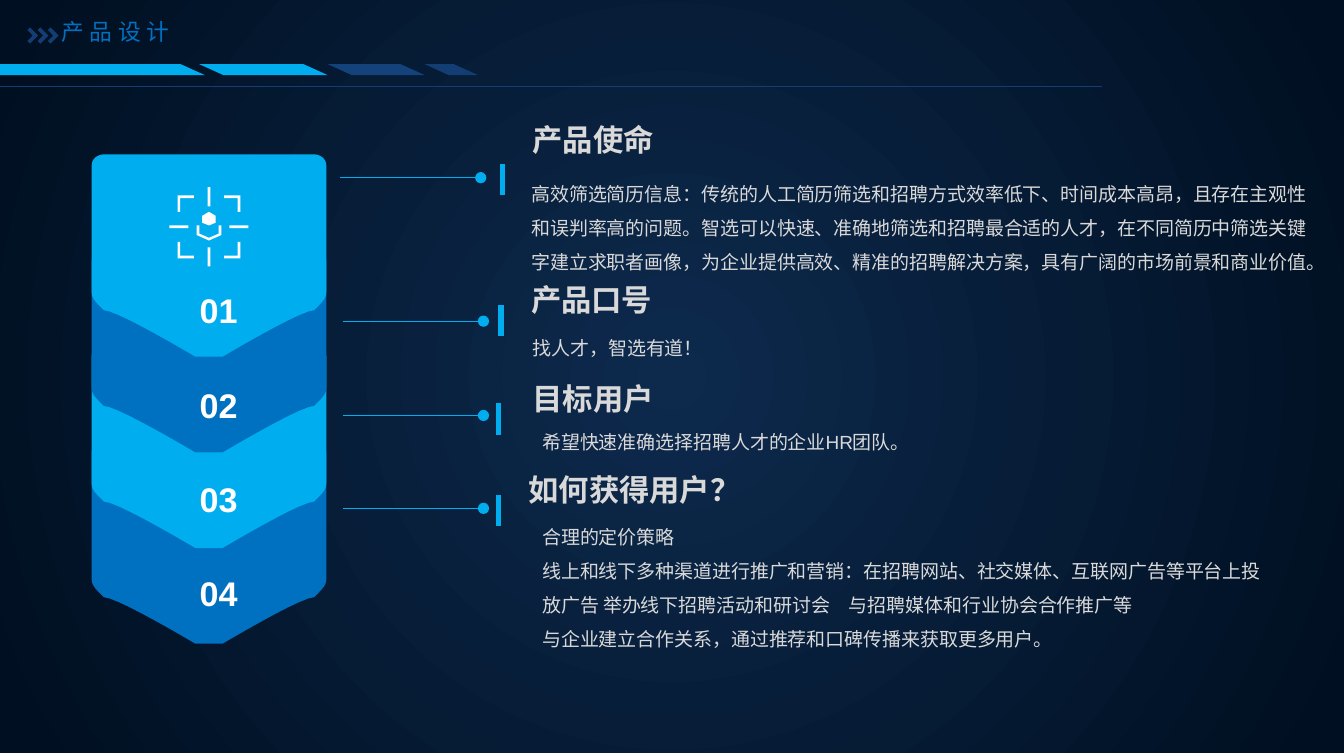
from lxml import etree
from pptx import Presentation
from pptx.dml.color import RGBColor
from pptx.enum.shapes import MSO_CONNECTOR, MSO_SHAPE
from pptx.enum.text import MSO_ANCHOR, PP_ALIGN
from pptx.oxml.ns import qn
from pptx.util import Inches, Pt

STRAIGHT = MSO_CONNECTOR.STRAIGHT
RECT, PARALLELOGRAM = MSO_SHAPE.RECTANGLE, MSO_SHAPE.PARALLELOGRAM
TOP = MSO_ANCHOR.TOP
LEFT, CENTER = PP_ALIGN.LEFT, PP_ALIGN.CENTER

SKY = RGBColor(0x00, 0xAE, 0xEF)
BLUE = RGBColor(0x00, 0x70, 0xC0)
STEEL = RGBColor(0x14, 0x42, 0x7A)
NAVY = RGBColor(0x13, 0x3E, 0x73)
BG_CENTER = RGBColor(0x0D, 0x2A, 0x4D)
BG_EDGE = RGBColor(0x00, 0x0F, 0x21)
WHITE = RGBColor(0xFF, 0xFF, 0xFF)
GRAY = RGBColor(0xD9, 0xD9, 0xD9)
CJK_FONT = "Noto Sans CJK SC"

# heading, its box (x, y, w), body paragraphs, their box (x, y, w, h), dot (x, y), bar (x, y)
SECTIONS = [
    ("产品使命", (3.83, 0.86, 1.03),
     ["高效筛选简历信息：传统的人工简历筛选和招聘方式效率低下、时间成本高昂，且存在主观性"
      "和误判率高的问题。智选可以快速、准确地筛选和招聘最合适的人才，在不同简历中筛选关键"
      "字建立求职者画像，为企业提供高效、精准的招聘解决方案，具有广阔的市场前景和商业价值。"],
     (3.82, 1.22, 5.88, 0.83), (3.52, 1.3), (3.68, 1.2)),
    ("产品口号", (3.82, 2.03, 1.03), ["找人才，智选有道！"],
     (3.83, 2.35, 2.31, 0.32), (3.54, 2.35), (3.67, 2.23)),
    ("目标用户", (3.83, 2.75, 1.03), ["希望快速准确选择招聘人才的企业HR团队。"],
     (3.9, 3.04, 4.11, 0.32), (3.54, 3.04), (3.65, 2.95)),
    ("如何获得用户？", (3.8, 3.42, 1.69),
     ["合理的定价策略",
      "线上和线下多种渠道进行推广和营销：在招聘网站、社交媒体、互联网广告等平台上投"
      "放广告 举办线下招聘活动和研讨会　与招聘媒体和行业协会合作推广等",
      "与企业建立合作关系，通过推荐和口碑传播来获取更多用户。"],
     (3.9, 3.73, 5.41, 1.08), (3.54, 3.72), (3.65, 3.62)),
]


def paint(sp, color):
    sp.shadow.inherit = False
    sp.fill.solid()
    sp.fill.fore_color.rgb = color
    sp.line.fill.background()


def add_outline(shapes, points, color):
    pts = [(Inches(x), Inches(y)) for x, y in points]
    builder = shapes.build_freeform(*pts[0])
    builder.add_line_segments(pts[1:], close=True)
    paint(builder.convert_to_shape(), color)


def add_line(shapes, start, end, color, width, dot=False):
    """Straight line, with an optional round dot at its start."""
    line = shapes.add_connector(STRAIGHT, *map(Inches, start + end))
    line.line.color.rgb = color
    line.line.width = Pt(width)
    if dot:
        etree.SubElement(line.line._get_or_add_ln(), qn("a:headEnd"), type="oval")
    etree.SubElement(line._element.spPr, qn("a:effectLst"))


def add_text(shapes, box, paragraphs, size, font, color, bold=False, align=LEFT,
             spacing=None, wrap=True, inset=(0.07, 0.03), tracking=None):
    tf = shapes.add_textbox(*map(Inches, box)).text_frame
    tf.word_wrap = wrap
    tf.vertical_anchor = TOP
    tf.margin_left = tf.margin_right = Inches(inset[0])
    tf.margin_top = tf.margin_bottom = Inches(inset[1])
    for i, text in enumerate(paragraphs):
        p = tf.add_paragraph() if i else tf.paragraphs[0]
        p.alignment = align
        p.line_spacing = spacing
        r = p.add_run()
        r.text = text
        r.font.size = Pt(size)
        r.font.name = font
        r.font.bold = bold
        r.font.color.rgb = color
        rpr = r.font._element
        etree.SubElement(rpr, qn("a:ea"), typeface=CJK_FONT)
        if tracking:
            rpr.set("spc", str(tracking))


def bezier(p0, p1, p2, p3, steps=10):
    for i in range(steps + 1):
        t = i / steps
        weights = ((1 - t) ** 3, 3 * t * (1 - t) ** 2, 3 * t * t * (1 - t), t ** 3)
        yield tuple(sum(w * p[axis] for w, p in zip(weights, (p0, p1, p2, p3)))
                    for axis in (0, 1))


def set_background(slide):
    fill = slide.background.fill
    fill.gradient()
    for stop, color, position in zip(fill.gradient_stops, (BG_CENTER, BG_EDGE), (0, 0.97)):
        stop.color.rgb = color
        stop.position = position
    grad = slide._element.find(".//" + qn("a:gradFill"))
    grad.remove(grad.find(qn("a:lin")))
    radial = etree.SubElement(grad, qn("a:path"), path="circle")
    etree.SubElement(radial, qn("a:fillToRect"), l="50000", t="50000", r="50000", b="50000")


def add_header(slide, x, y):
    shapes = slide.shapes
    for left, width, color in ((-1.61, 3.11, SKY), (1.46, 0.94, SKY),
                               (2.4, 0.71, STEEL), (3.11, 0.39, NAVY)):
        sp = shapes.add_shape(PARALLELOGRAM, Inches(x + left), Inches(y + 0.47),
                              Inches(width), Inches(0.08))
        sp.adjustments[0] = 2.208
        sp._element.spPr.xfrm.set("flipV", "1")
        paint(sp, color)
    add_line(shapes, (x, y + 0.63), (x + 8.07, y + 0.63), NAVY, 0.5)
    add_text(shapes, (x + 0.35, y + 0.08, 1.03, 0.3), ["产品设计"], 12, CJK_FONT, BLUE,
             wrap=False, inset=(0.1, 0.05), tracking=300)
    arrows = shapes.add_group_shape().shapes
    for i in range(3):
        left, top = x + 0.2 + 0.075 * i, y + 0.2
        add_outline(arrows, [(left + dx, top + dy) for dx, dy in (
            (0, 0.02), (0.02, 0), (0.08, 0.06), (0.02, 0.12), (0, 0.1), (0.04, 0.06))], NAVY)


def add_focus_icon(slide, cx, cy):
    shapes = slide.shapes.add_group_shape().shapes
    for sx in (-1, 1):
        for sy in (-1, 1):
            add_outline(shapes, [(cx + sx * dx, cy + sy * dy) for dx, dy in (
                (0.23, 0.23), (0.11, 0.23), (0.11, 0.21),
                (0.21, 0.21), (0.21, 0.11), (0.23, 0.11))], WHITE)
    for dx, dy, w, h in ((-0.22, 0, 0.14, 0.02), (0.22, 0, 0.14, 0.02),
                         (0, -0.22, 0.02, 0.14), (0, 0.22, 0.02, 0.14)):
        paint(shapes.add_shape(RECT, Inches(cx + dx - w / 2), Inches(cy + dy - h / 2),
                               Inches(w), Inches(h)), WHITE)
    hexagon = ((0, -0.11), (0.05, -0.08), (0.05, -0.03), (0, -0.01), (-0.05, -0.03), (-0.05, -0.08))
    cup = ((-0.09, -0.01), (-0.09, 0.06), (0, 0.1), (0.09, 0.06), (0.09, -0.01),
           (0.07, -0.01), (0.07, 0.05), (0, 0.08), (-0.07, 0.05), (-0.07, -0.01))
    for outline in (hexagon, cup):
        add_outline(shapes, [(cx + dx, cy + dy) for dx, dy in outline], WHITE)


def add_ribbon(slide, x, y, count=4, step=0.7):
    """Overlapping numbered cards, each with a pointed lower edge."""
    cx = x + 0.86
    half = [*bezier((0.77, 0), (0.77, 0), (0.86, 0), (0.86, 0.09)),
            *bezier((0.86, 0.96), (0.86, 1.05), (0.86, 1.05), (0.77, 1.14)),
            *bezier((0.77, 1.14), (0.67, 1.14), (0.1, 1.48), (0.1, 1.48))]
    card = half + [(-dx, dy) for dx, dy in reversed(half)]
    for i in reversed(range(count)):
        add_outline(slide.shapes, [(cx + dx, y + step * i + dy) for dx, dy in card],
                    BLUE if i % 2 else SKY)
    for i in range(count):
        add_text(slide.shapes, (x + 0.39, y + 0.87 + 0.69 * i, 1.08, 0.46), [f"{i + 1:02}"],
                 18, "Arial", WHITE, bold=True, align=CENTER, spacing=1.3)
    add_focus_icon(slide, cx, y + 0.53)


def add_section(slide, heading, heading_box, body, body_box, dot, bar):
    shapes = slide.shapes
    add_line(shapes, dot, (dot[0] - 1.03, dot[1]), SKY, 0.5, dot=True)
    add_line(shapes, bar, (bar[0], bar[1] + 0.23), SKY, 3)
    add_text(shapes, heading_box + (0.34,), [heading], 16, "Calibri", GRAY,
             bold=True, wrap=False)
    add_text(shapes, body_box, body, 10, "Arial", GRAY, spacing=1.5)


def main():
    prs = Presentation()
    prs.slide_width, prs.slide_height = Inches(9.84), Inches(5.51)
    slide = prs.slides.add_slide(prs.slide_layouts[6])
    set_background(slide)
    add_header(slide, 0, 0)
    add_ribbon(slide, 0.67, 1.13)
    for section in SECTIONS:
        add_section(slide, *section)
    prs.save("out.pptx")


if __name__ == "__main__":
    main()
